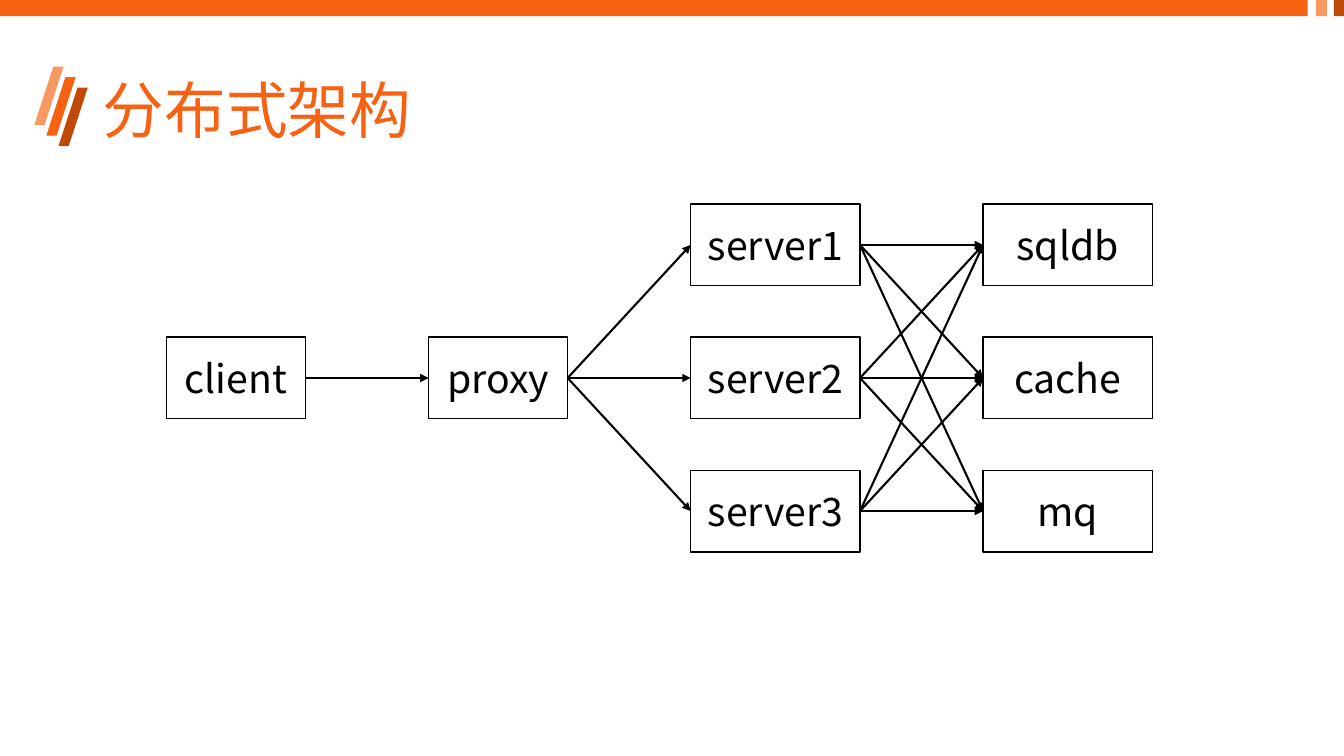
from itertools import pairwise, product

from lxml import etree
from pptx import Presentation
from pptx.dml.color import RGBColor
from pptx.enum.shapes import MSO_CONNECTOR, MSO_SHAPE
from pptx.enum.text import MSO_ANCHOR, MSO_AUTO_SIZE, PP_ALIGN
from pptx.oxml.ns import qn
from pptx.util import Inches, Pt

TITLE = "分布式架构"
# Each tier: box width in inches, labels from top to bottom
TIERS = [
    (1.38, ["client"]),
    (1.38, ["proxy"]),
    (1.68, ["server1", "server2", "server3"]),
    (1.68, ["sqldb", "cache", "mq"]),
]
COLORS = {
    "orange": "F76212", "light": "FA9862", "dark": "C14907",
    "ink": "000000", "paper": "FFFFFF",
}
FONT = "Noto Sans CJK SC"
SLIDE_WIDTH, SLIDE_HEIGHT = 13.33, 7.5
DIAGRAM_LEFT, TIER_GAP = 1.65, 1.22
BOX_HEIGHT, ROW_PITCH = 0.81, 1.32
LEFT_SITE, RIGHT_SITE = 1, 3

BAR_HEIGHT = 0.16
BAR_PARTS = [(0, 12.97, "orange"), (13.05, 0.11, "light"), (13.23, 0.11, "dark")]
STRIPES = ["light", "orange", "dark"]
STRIPE_LEFT, STRIPE_TOP = 0.34, 0.66
STRIPE_STEP_X, STRIPE_STEP_Y = 0.12, 0.105


def color(name):
    return RGBColor.from_string(COLORS[name])


def add_filled(slide, kind, left, top, width, height, fill):
    shape = slide.shapes.add_shape(
        kind, Inches(left), Inches(top), Inches(width), Inches(height))
    shape.shadow.inherit = False
    shape.fill.solid()
    shape.fill.fore_color.rgb = color(fill)
    shape.line.fill.background()
    return shape


def write(shape, text, size, text_color, alignment):
    frame = shape.text_frame
    frame.vertical_anchor = MSO_ANCHOR.MIDDLE
    paragraph = frame.paragraphs[0]
    paragraph.alignment = alignment
    run = paragraph.add_run()
    run.text = text
    run.font.size = Pt(size)
    run.font.name = FONT
    run.font.color.rgb = color(text_color)
    # East Asian characters take their typeface from a:ea
    properties = run.font._element
    etree.SubElement(properties, qn("a:ea")).set("typeface", FONT)
    return paragraph


def add_decoration(slide):
    for left, width, fill in BAR_PARTS:
        add_filled(slide, MSO_SHAPE.RECTANGLE, left, 0, width, BAR_HEIGHT, fill)
    for index, fill in enumerate(STRIPES):
        stripe = add_filled(
            slide, MSO_SHAPE.PARALLELOGRAM,
            STRIPE_LEFT + index * STRIPE_STEP_X,
            STRIPE_TOP + index * STRIPE_STEP_Y, 0.29, 0.58, fill)
        stripe.adjustments[0] = 0.65


def add_title(slide):
    title = slide.shapes.title
    title.left, title.top = Inches(0.92), Inches(0.4)
    title.width, title.height = Inches(11.5), Inches(1.45)
    title.text_frame.auto_size = MSO_AUTO_SIZE.NONE
    paragraph = write(title, TITLE, 44, "orange", PP_ALIGN.LEFT)
    paragraph.line_spacing = 0.9


def add_tier(slide, left, width, labels):
    """Stack one tier's boxes around the slide's middle line."""
    boxes = []
    for row, label in enumerate(labels):
        center = SLIDE_HEIGHT / 2 + (row - (len(labels) - 1) / 2) * ROW_PITCH
        box = add_filled(slide, MSO_SHAPE.RECTANGLE, left, center - BOX_HEIGHT / 2,
                         width, BOX_HEIGHT, "paper")
        box.line.color.rgb = color("ink")
        box.line.width = Pt(1)
        write(box, label, 28, "ink", PP_ALIGN.CENTER)
        boxes.append(box)
    return boxes


def add_arrow(slide, source, target):
    arrow = slide.shapes.add_connector(MSO_CONNECTOR.STRAIGHT, 0, 0, 0, 0)
    arrow.begin_connect(source, RIGHT_SITE)
    arrow.end_connect(target, LEFT_SITE)
    arrow.line.color.rgb = color("ink")
    arrow.line.width = Pt(1.5)
    line = arrow.line._get_or_add_ln()
    etree.SubElement(line, qn("a:tailEnd")).set("type", "triangle")
    etree.SubElement(arrow._element.spPr, qn("a:effectLst"))


def main():
    presentation = Presentation()
    presentation.slide_width = Inches(SLIDE_WIDTH)
    presentation.slide_height = Inches(SLIDE_HEIGHT)
    slide = presentation.slides.add_slide(presentation.slide_layouts[5])
    add_decoration(slide)
    add_title(slide)

    tiers, left = [], DIAGRAM_LEFT
    for width, labels in TIERS:
        tiers.append(add_tier(slide, left, width, labels))
        left += width + TIER_GAP
    for sources, targets in pairwise(tiers):
        for source, target in product(sources, targets):
            add_arrow(slide, source, target)

    presentation.save("out.pptx")


if __name__ == "__main__":
    main()
